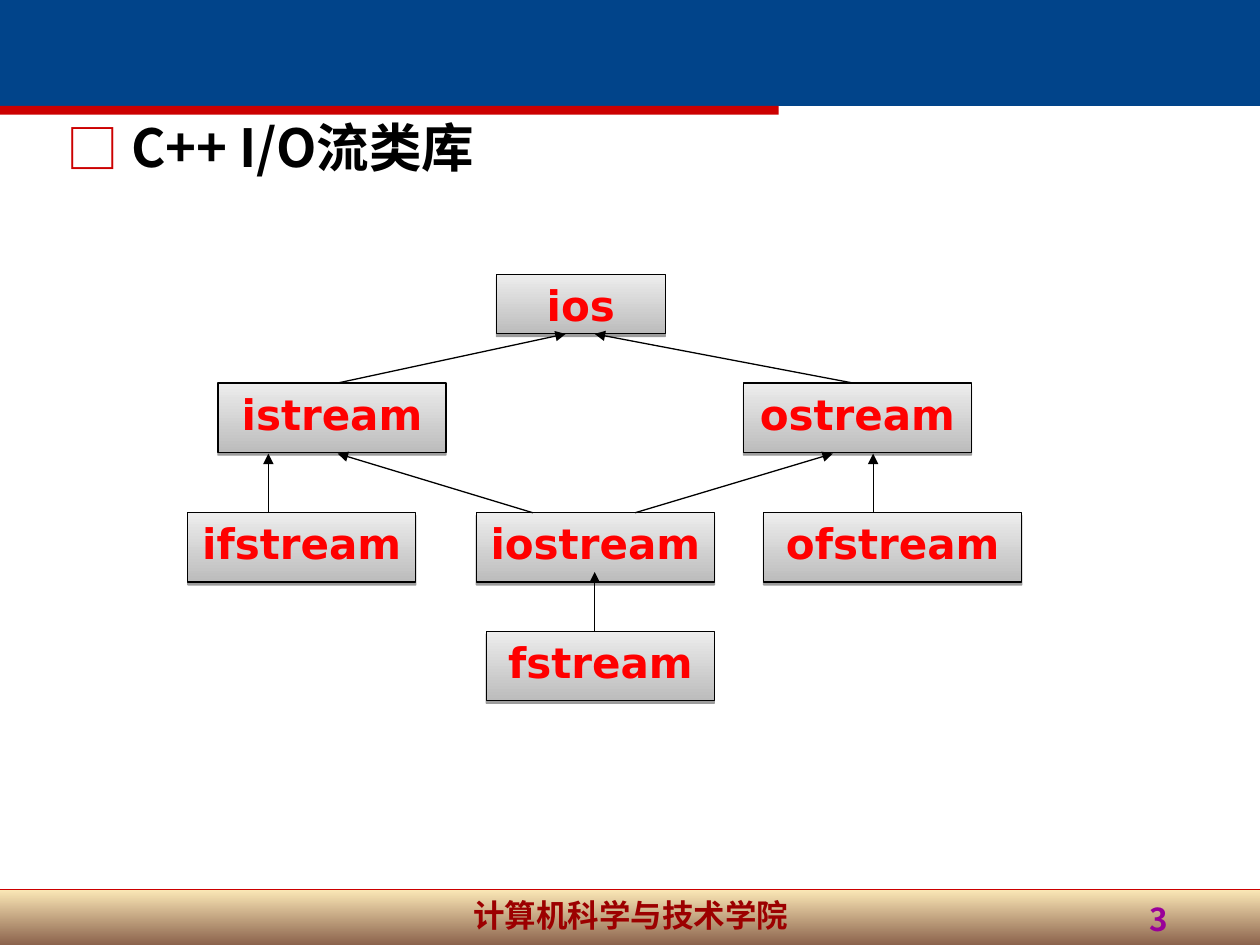
import pptx
import pptx.util
import pptx.dml.color
import pptx.enum.shapes
import pptx.enum.text
import pptx.oxml
import pptx.oxml.ns
import lxml.etree

RGB = pptx.dml.color.RGBColor
BLUE = RGB(0x01, 0x44, 0x8A)
RED = RGB(0xCC, 0x00, 0x00)
BRIGHT = RGB(0xFF, 0x00, 0x00)
WINE = RGB(0x9C, 0x00, 0x00)
PLUM = RGB(0x99, 0x00, 0x99)
BLACK = RGB(0x00, 0x00, 0x00)
GREY = RGB(0xBC, 0xBC, 0xBC)
PALE = RGB(0xED, 0xED, 0xED)
CREAM = RGB(0xFC, 0xE2, 0xA0)
BROWN = RGB(0x66, 0x30, 0x12)
SANS, CJK = "DejaVu Sans", "Noto Sans CJK SC"

Pt = pptx.util.Pt
qn = pptx.oxml.ns.qn
align = pptx.enum.text.PP_ALIGN
RECT = pptx.enum.shapes.MSO_SHAPE.RECTANGLE
LINE = pptx.enum.shapes.MSO_CONNECTOR.STRAIGHT

deck = pptx.Presentation()
deck.slide_width = pptx.util.Inches(10)
deck.slide_height = pptx.util.Inches(7.5)
unit = deck.slide_width // 10
slide = deck.slides.add_slide(deck.slide_layouts[5])
shapes = slide.shapes


def grid(*cells):
    return [round(cell * unit) for cell in cells]


def write(shape, text, size, face, color, side, top=0.05):
    frame = shape.text_frame
    frame.word_wrap = False
    frame.vertical_anchor = pptx.enum.text.MSO_ANCHOR.TOP
    frame.margin_left, frame.margin_right, frame.margin_top, frame.margin_bottom = grid(0.1, 0.1, top, 0.05)
    para = frame.paragraphs[0]
    para.alignment = side
    run = para.add_run()
    run.text = text
    run.font.size = Pt(size)
    run.font.bold = True
    run.font.name = face
    run.font.color.rgb = color
    lxml.etree.SubElement(run.font._element, qn("a:ea"), typeface=face)
    return para


bands = [
    (0, 7.06, 10, 0.44, None),
    (0, 0, 10, 0.84, BLUE),
    (0, 0.84, 6.18, 0.07, RED),
]
for *place, color in bands:
    band = shapes.add_shape(RECT, *grid(*place))
    band.shadow.inherit = False
    band.line.fill.background()
    if color:
        band.fill.solid()
        band.fill.fore_color.rgb = color
    else:
        band.fill.gradient()
        band.fill.gradient_angle = 270
        for stop, tone in zip(band.fill.gradient_stops, (CREAM, BROWN)):
            stop.color.rgb = tone
        for tone in band.element.spPr.iter(qn("a:srgbClr")):
            lxml.etree.SubElement(tone, qn("a:alpha"), val="75000")

title = shapes.title
title.left, title.top, title.width, title.height = grid(0.43, 0.91, 9.14, 0.63)
para = write(title, "C++ I/O流类库", 30, CJK, BLACK, align.LEFT, 0)
props = para._p.get_or_add_pPr()
indent = grid(0.51)[0]
props.set("marL", str(indent))
props.set("indent", str(-indent))
tint = lxml.etree.SubElement(props, qn("a:buClr"))
lxml.etree.SubElement(tint, qn("a:srgbClr"), val=str(RED))
lxml.etree.SubElement(props, qn("a:buFont"), typeface=CJK)
lxml.etree.SubElement(props, qn("a:buChar"), char="□")

foot = shapes.add_textbox(*grid(3.42, 7.06, 3.17, 0.44))
write(foot, "计算机科学与技术学院", 18, CJK, WINE, align.CENTER)
page = shapes.add_textbox(*grid(7.2, 7.09, 2.17, 0.44))
write(page, "3", 18, CJK, PLUM, align.RIGHT)

rows = [2.18, 3.04, 4.07, 5.01]
high = 0.55
nodes = [
    ("ios", 3.94, 0, 1.34, 0.47),
    ("istream", 1.73, 1, 1.81, high),
    ("ostream", 5.9, 1, 1.81, high),
    ("ifstream", 1.49, 2, 1.81, high),
    ("iostream", 3.78, 2, 1.89, high),
    ("ofstream", 6.06, 2, 2.05, high),
    ("fstream", 3.86, 3, 1.81, high),
]
for name, left, row, wide, tall in nodes:
    box = shapes.add_shape(RECT, *grid(left, rows[row], wide, tall))
    box.shadow.inherit = False
    box.fill.gradient()
    box.fill.gradient_angle = 90
    for stop, tone in zip(box.fill.gradient_stops, (GREY, PALE)):
        stop.color.rgb = tone
    box.line.color.rgb = BLACK
    box.line.width = Pt(0.75)
    glow = box.element.spPr.find(qn("a:effectLst"))
    shade = lxml.etree.SubElement(glow, qn("a:outerShdw"), dist=str(Pt(1.6)), dir="5400000", rotWithShape="0")
    tint = lxml.etree.SubElement(shade, qn("a:srgbClr"), val=str(BLACK))
    lxml.etree.SubElement(tint, qn("a:alpha"), val="38000")
    write(box, name, 24, SANS, BRIGHT, align.CENTER, 0.04)

links = [
    (2.68, rows[1], 4.49, 2.65),
    (6.77, rows[1], 4.72, 2.65),
    (2.13, rows[2], 2.13, 3.6),
    (4.23, rows[2], 2.68, 3.6),
    (5.04, rows[2], 6.61, 3.6),
    (6.93, rows[2], 6.93, 3.6),
    (4.72, rows[3], 4.72, 4.54),
]
rule = (0, 7.06, 10, 7.06)
for ends in [rule] + links:
    link = shapes.add_connector(LINE, *grid(*ends))
    lead = ends != rule
    link.line.color.rgb = BLACK if lead else RED
    link.line.width = Pt(0.75 if lead else 0.25)
    if lead:
        lxml.etree.SubElement(link.line._get_or_add_ln(), qn("a:tailEnd"), type="triangle")
    lxml.etree.SubElement(link._element.spPr, qn("a:effectLst"))

deck.save("out.pptx")
